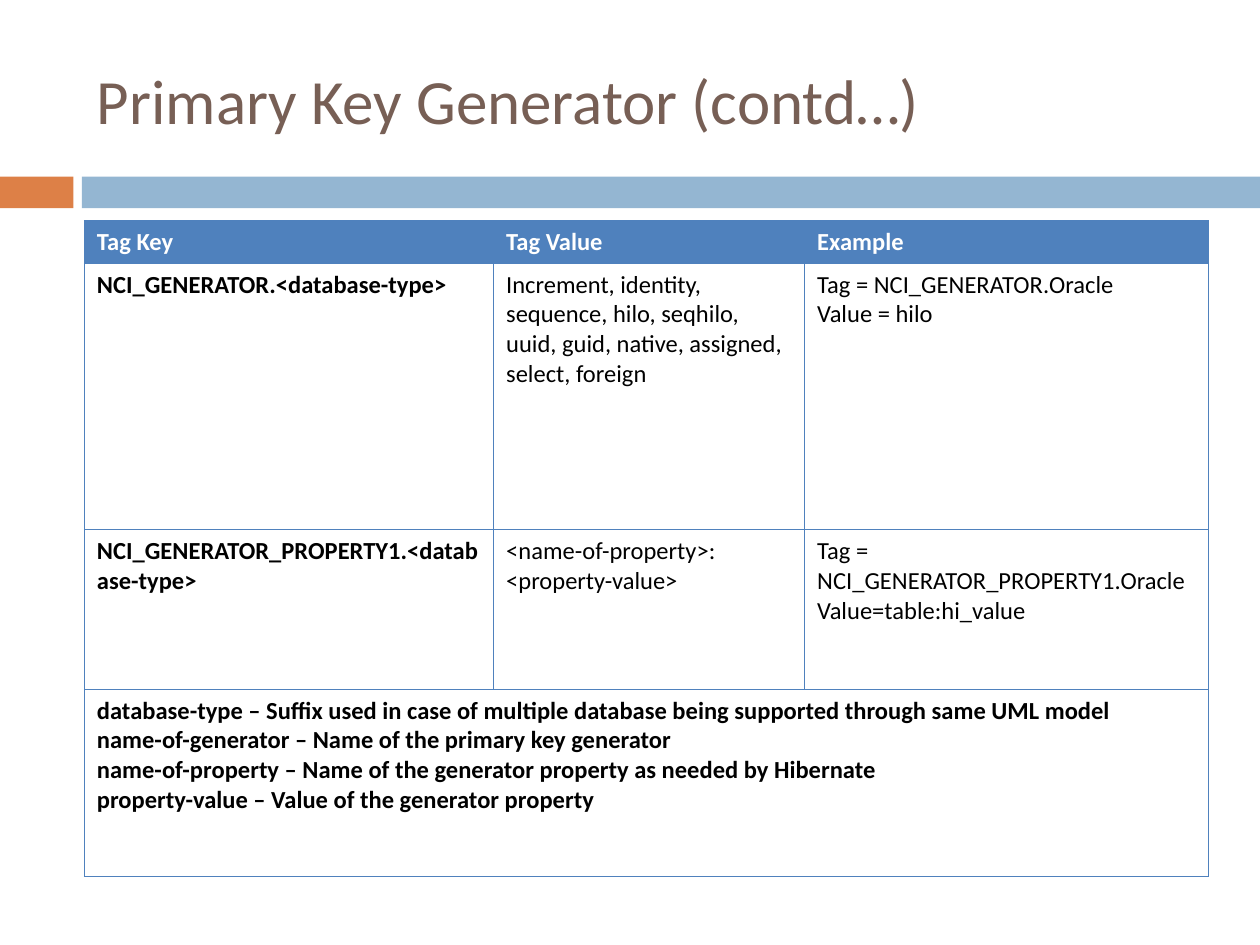
from lxml.etree import SubElement
from pptx import Presentation
from pptx.dml.color import RGBColor
from pptx.enum.shapes import MSO_SHAPE
from pptx.enum.text import MSO_ANCHOR, PP_ALIGN
from pptx.oxml.ns import qn
from pptx.util import Cm, Pt

ORANGE = RGBColor(0xDD, 0x80, 0x47)
LIGHT_BLUE = RGBColor(0x94, 0xB6, 0xD2)
BROWN = RGBColor(0x77, 0x5F, 0x55)
TABLE_BLUE = RGBColor(0x4F, 0x81, 0xBD)
WHITE = RGBColor(0xFF, 0xFF, 0xFF)
BLACK = RGBColor(0x00, 0x00, 0x00)
FONT = "Calibri"

COLUMN_WIDTHS = [8.25, 6.27, 8.13]
ROW_HEIGHTS = [0.86, 5.37, 3.22, 3.77]
ROWS = [
    ["Tag Key", "Tag Value", "Example"],
    [
        "NCI_GENERATOR.<database-type>",
        "Increment, identity, sequence, hilo, seqhilo, uuid, guid, native, assigned, select, foreign",
        "Tag = NCI_GENERATOR.Oracle\nValue = hilo",
    ],
    [
        "NCI_GENERATOR_PROPERTY1.<database-type>",
        "<name-of-property>: <property-value>",
        "Tag = NCI_GENERATOR_PROPERTY1.Oracle\nValue=table:hi_value",
    ],
    [
        "database-type – Suffix used in case of multiple database being supported through same UML model\n"
        "name-of-generator – Name of the primary key generator\n"
        "name-of-property – Name of the generator property as needed by Hibernate\n"
        "property-value – Value of the generator property",
        "",
        "",
    ],
]


def style_paragraph(paragraph, size, color, bold):
    paragraph.alignment = PP_ALIGN.LEFT
    paragraph.font.name = FONT
    paragraph.font.size = Pt(size)
    paragraph.font.color.rgb = color
    paragraph.font.bold = bold


def add_borders(cell):
    properties = cell._tc.get_or_add_tcPr()
    for side in ("a:lnL", "a:lnR", "a:lnT", "a:lnB"):
        line = SubElement(properties, qn(side), w=str(Pt(0.45)))
        fill = SubElement(line, qn("a:solidFill"))
        SubElement(fill, qn("a:srgbClr"), val=str(TABLE_BLUE))


deck = Presentation()
deck.slide_width = Cm(25.4)
deck.slide_height = Cm(19.05)
page = deck.slides.add_slide(deck.slide_layouts[5])

for left, width, color in [(0, 1.48, ORANGE), (1.65, 23.75, LIGHT_BLUE)]:
    band = page.shapes.add_shape(MSO_SHAPE.RECTANGLE, Cm(left), Cm(3.56), Cm(width), Cm(0.64))
    band.shadow.inherit = False
    band.fill.solid()
    band.fill.fore_color.rgb = color
    band.line.fill.background()

title = page.shapes.title
title.left, title.top, title.width, title.height = Cm(1.7), Cm(0.64), Cm(22.65), Cm(2.74)
title.text_frame.text = "Primary Key Generator (contd…)"
title.text_frame.vertical_anchor = MSO_ANCHOR.MIDDLE
style_paragraph(title.text_frame.paragraphs[0], 36, BROWN, False)

table = page.shapes.add_table(
    len(ROWS), len(COLUMN_WIDTHS), Cm(1.7), Cm(4.45), Cm(sum(COLUMN_WIDTHS)), Cm(sum(ROW_HEIGHTS))
).table
table.horz_banding = False
for column, width in zip(table.columns, COLUMN_WIDTHS):
    column.width = Cm(width)
for row, height in zip(table.rows, ROW_HEIGHTS):
    row.height = Cm(height)
table.cell(3, 0).merge(table.cell(3, 2))

for row_index, texts in enumerate(ROWS):
    is_header = row_index == 0
    for column_index, text in enumerate(texts):
        cell = table.cell(row_index, column_index)
        add_borders(cell)
        if is_header:
            cell.fill.solid()
            cell.fill.fore_color.rgb = TABLE_BLUE
        else:
            cell.fill.background()
        if cell.is_spanned:
            continue
        cell.text = text
        for paragraph in cell.text_frame.paragraphs:
            style_paragraph(paragraph, 14, WHITE if is_header else BLACK, is_header or column_index == 0)

deck.save("out.pptx")
